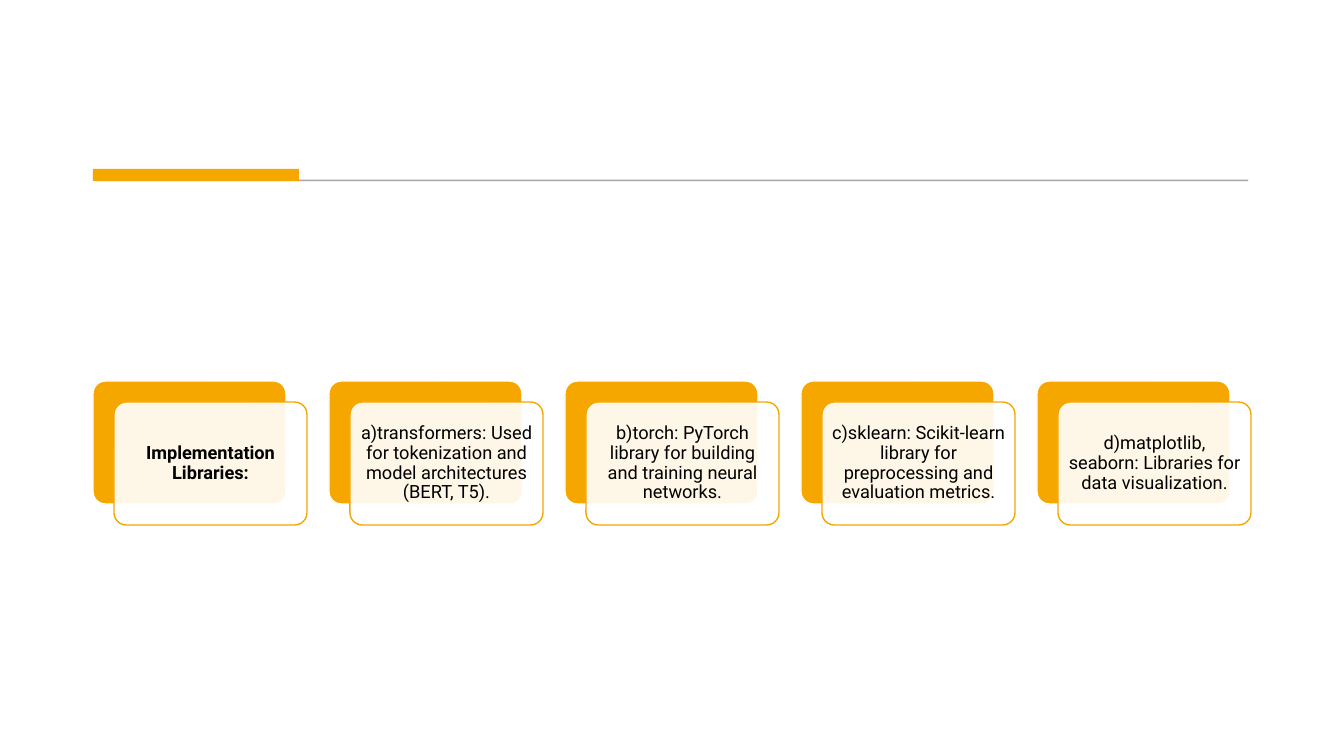
import pptx
import pptx.util
import pptx.dml.color
import pptx.enum.shapes
import pptx.enum.text
import pptx.oxml.ns
import lxml.etree

RGB = pptx.dml.color.RGBColor
SHAPE = pptx.enum.shapes.MSO_SHAPE
AMBER = RGB(0xF5, 0xA7, 0x00)
WHITE = RGB(0xFF, 0xFF, 0xFF)
GREY = RGB(0x59, 0x59, 0x59)
BLACK = RGB(0x00, 0x00, 0x00)


def px(n):
    return pptx.util.Emu(round(n * 914400 / 100.8))


def add_box(kind, x, y, w, h, fill, line=None, weight=1, fill_alpha=100, line_alpha=100):
    sp = s.shapes.add_shape(kind, px(x), px(y), px(w), px(h))
    sp.shadow.inherit = False
    sp.fill.solid()
    sp.fill.fore_color.rgb = fill
    if line is None:
        sp.line.fill.background()
    else:
        sp.line.color.rgb = line
        sp.line.width = pptx.util.Pt(weight)
    # Transparency: the first colour is the fill, the second the line
    colors = sp._element.spPr.iter(pptx.oxml.ns.qn("a:srgbClr"))
    for color, alpha in zip(colors, (fill_alpha, line_alpha)):
        if alpha < 100:
            tag = lxml.etree.SubElement(color, pptx.oxml.ns.qn("a:alpha"))
            tag.set("val", str(alpha * 1000))
    return sp


prs = pptx.Presentation()
prs.slide_width, prs.slide_height = px(1344), px(756)
s = prs.slides.add_slide(prs.slide_layouts[6])

# Divider with accent bar
add_box(SHAPE.RECTANGLE, 96, 180, 1152, 1, GREY, GREY, 0.75, 30, 30)
add_box(SHAPE.RECTANGLE, 93, 169, 206, 12, AMBER)

# Row of library cards
LEFT, TOP, WIDTH, HEIGHT = 93, 381, 193, 123
PITCH, OFFSET, PAD = 236, 21, 4
cards = [
    "Implementation Libraries:",
    "a)transformers: Used for tokenization and model architectures (BERT, T5).",
    "b)torch: PyTorch library for building and training neural networks.",
    "c)sklearn: Scikit-learn library for preprocessing and evaluation metrics.",
    "d)matplotlib, seaborn: Libraries for data visualization.",
]
frame_format = {
    "word_wrap": True,
    "vertical_anchor": pptx.enum.text.MSO_ANCHOR.MIDDLE,
    "margin_left": px(5),
    "margin_top": px(5),
    "margin_right": px(5),
    "margin_bottom": px(5),
}
paragraph_format = {
    "alignment": pptx.enum.text.PP_ALIGN.CENTER,
    "line_spacing": 0.9,
    "space_after": pptx.util.Pt(4.5),
}

for i, text in enumerate(cards):
    x = LEFT + i * PITCH
    front_x, front_y = x + OFFSET, TOP + OFFSET
    back = add_box(SHAPE.ROUNDED_RECTANGLE, x, TOP, WIDTH, HEIGHT, AMBER, WHITE)
    front = add_box(SHAPE.ROUNDED_RECTANGLE, front_x, front_y, WIDTH, HEIGHT,
                    WHITE, AMBER, fill_alpha=90)
    for sp in (back, front):
        sp.adjustments[0] = 0.1

    # Card text
    tf = s.shapes.add_textbox(px(front_x + PAD), px(front_y + PAD),
                              px(WIDTH - 2 * PAD), px(HEIGHT - 2 * PAD)).text_frame
    for name, value in frame_format.items():
        setattr(tf, name, value)
    p = tf.paragraphs[0]
    for name, value in paragraph_format.items():
        setattr(p, name, value)
    r = p.add_run()
    r.text = text
    run_format = {"name": "Roboto", "size": pptx.util.Pt(13), "bold": i == 0}
    for name, value in run_format.items():
        setattr(r.font, name, value)
    r.font.color.rgb = BLACK

prs.save("out.pptx")
